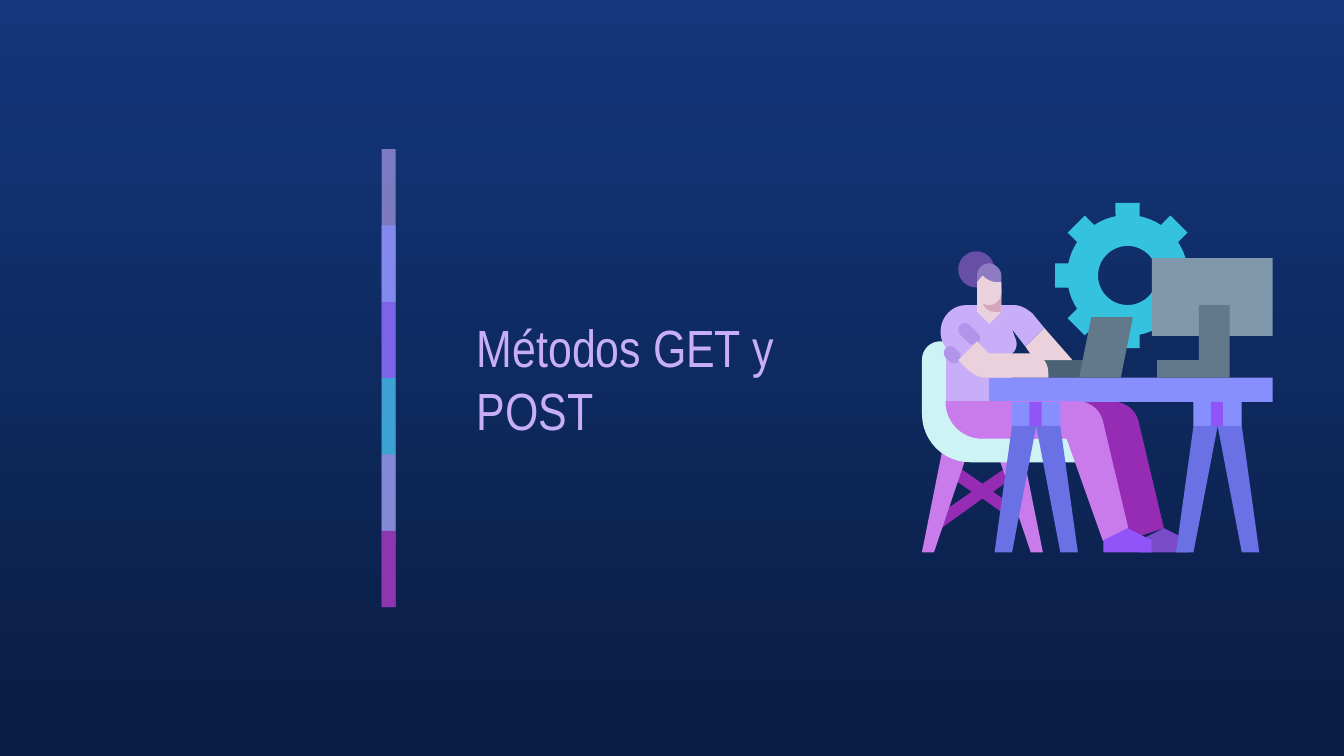
import math
from dataclasses import dataclass

import pptx
import pptx.dml.color
import pptx.enum.shapes
import pptx.enum.text
import pptx.oxml
import pptx.oxml.ns
import pptx.util

Pt = pptx.util.Pt
Kind = pptx.enum.shapes.MSO_SHAPE
UNIT = 0.72


@dataclass(frozen=True)
class Theme:
    """Colours, font and type size of the slide."""
    font: str = "Arial Narrow"
    title_size: int = 28
    sky: str = "13367C"
    night: str = "0A1D42"
    lilac: str = "C8AEF8"
    sleeve: str = "B394EB"
    periwinkle: str = "878FFF"
    violet: str = "9154F8"
    trestle: str = "6971E5"
    cyan: str = "35C2DF"
    pink: str = "CA7BEB"
    magenta: str = "972CB4"
    far_shoe: str = "794BC8"
    chair: str = "CEF3F5"
    skin: str = "EAD1DC"
    neck_shade: str = "D5A6BD"
    bun: str = "674EA7"
    hair: str = "8E7CC3"
    keyboard: str = "4B6275"
    steel: str = "62798C"
    screen: str = "8098AB"


THEME = Theme()


def rgb(colour):
    """Return the colour object of a hex value."""
    return pptx.dml.color.RGBColor.from_string(colour)


def paint(shape, colour):
    """Fill a shape plainly, with no outline or shadow."""
    shape.shadow.inherit = False
    shape.fill.solid()
    shape.fill.fore_color.rgb = rgb(colour)
    shape.line.fill.background()
    return shape


def block(art, x, y, width, height, colour, kind=Kind.RECTANGLE):
    """Add a preset shape measured in drawing units."""
    lengths = [Pt(value * UNIT) for value in (x, y, width, height)]
    return paint(art.shapes.add_shape(kind, *lengths), colour)


def flatten(steps):
    """Turn points and six-number Bezier steps into plain points."""
    points = [steps[0]]
    for step in steps[1:]:
        if len(step) == 2:
            points.append(step)
            continue
        x0, y0 = points[-1]
        x1, y1, x2, y2, x3, y3 = step
        for t in (n / 12 for n in range(1, 13)):
            a, b, c, d = (1 - t) ** 3, 3 * t * (1 - t) ** 2, 3 * t * t * (1 - t), t ** 3
            points.append((a * x0 + b * x1 + c * x2 + d * x3,
                           a * y0 + b * y1 + c * y2 + d * y3))
    return points


def outline(art, colour, *contours):
    """Add one freeform made of closed contours in drawing units."""
    builder = None
    for contour in contours:
        points = [(Pt(x * UNIT), Pt(y * UNIT)) for x, y in flatten(contour)]
        if builder is None:
            builder = art.shapes.build_freeform(*points[0])
        else:
            builder.move_to(*points[0])
        builder.add_line_segments(points[1:], close=True)
    return paint(builder.convert_to_shape(), colour)


def gear(art, x, y):
    """Add an eight-toothed gear with a round hole."""
    def polar(radius, degrees):
        """Place a point around the gear centre."""
        angle = math.radians(degrees)
        return x + radius * math.cos(angle), y + radius * math.sin(angle)

    rim = []
    for tooth in range(0, 360, 45):
        rim += [polar(45, tooth - 11.5), polar(54.75, tooth - 9.5),
                polar(54.75, tooth + 9.5), polar(45, tooth + 11.5)]
        rim += [polar(45, tooth + turn) for turn in (17, 22.5, 28)]
    outline(art, THEME.cyan, rim, [polar(22, -turn) for turn in range(0, 360, 6)])


def trestle(art, x):
    """Add a table trestle centred on x."""
    block(art, x - 18, 299, 36, 18, THEME.periwinkle)
    block(art, x - 5, 299, 9, 18, THEME.violet)
    for side in (-1, 1):
        outline(art, THEME.trestle, [(x + side * 18, 317), (x + side * 31, 411),
                                     (x + side * 18, 411), (x, 317)])


def chair(art):
    """Add the chair with crossed braces, legs and seat."""
    outline(art, THEME.magenta, [
        (711, 346), (706, 354), (723, 366), (694, 386), (699, 394), (731, 371),
        (748, 383), (753, 376), (739, 366), (755, 354), (750, 347), (731, 360)])
    for side in (-1, 1):
        outline(art, THEME.pink, [(731 + side * dx, y) for dx, y in
                                  ((9, 331), (36, 411), (45, 411), (29, 331))])
    outline(art, THEME.chair, [
        (700, 254), (692, 254, 686, 260, 686, 268), (686, 308),
        (686, 328, 702, 344, 722, 344), (807, 344), (807, 322), (731, 322),
        (719, 322, 709, 312, 709, 299), (709, 254)])


def leg(art, shift, heel, colour, shoe_colour):
    """Add a seated leg and its shoe, moved right by shift."""
    trousers = outline(art, colour, [
        (704 + shift, 299),
        (704 + shift, 314, 716 + shift, 326, 731 + shift, 326),
        (794 + shift, 326), (heel, 402), (839 + shift, 393), (820 + shift, 313),
        (818 + shift, 305, 810 + shift, 299, 802 + shift, 299)])
    outline(art, shoe_colour, [(x + shift, y) for x, y in (
        (839, 393), (821, 402), (821, 411), (857, 411), (857, 402))])
    return trousers


def torso(art):
    """Add the far forearm and the shirt."""
    outline(art, THEME.skin, [(763, 258), (770, 268), (798, 268), (777, 244)])
    outline(art, THEME.lilac, [
        (719, 227), (703, 227, 694, 246, 704, 259), (704, 299), (753, 299),
        (753, 263), (756, 261, 757, 257, 756, 253), (753, 245), (763, 258),
        (777, 244), (768, 233), (764, 230, 760, 227, 754, 227)])


def near_arm(art):
    """Add the sleeve folds, neck and near forearm."""
    for x, y, length in ((701.5, 259, 14), (711.5, 243.5, 19)):
        fold = block(art, x, y, length, 10, THEME.sleeve, Kind.ROUNDED_RECTANGLE)
        fold.adjustments[0] = 0.5
        fold.rotation = 45
    outline(art, THEME.skin, [(727, 214), (727, 232), (736, 241), (745, 232), (745, 214)])
    outline(art, THEME.skin, [
        (727, 254), (713, 268), (721, 276), (725, 279, 729, 281, 734, 281),
        (780, 281), (780, 277), (780, 269, 774, 263, 767, 263), (736, 263)])


def head(art):
    """Add the neck shade, hair and blank face."""
    outline(art, THEME.neck_shade, [
        (731, 214), (731, 223), (731, 228, 735, 232, 740, 232), (745, 232), (745, 214)])
    block(art, 713, 187, 27, 27, THEME.bun, Kind.OVAL)
    outline(art, THEME.hair, [
        (736, 196), (731, 196, 727, 200, 727, 205), (727, 214), (745, 214),
        (745, 205), (745, 200, 740, 196, 736, 196)])
    outline(art, THEME.skin, [
        (731, 205), (727, 210), (727, 218), (727, 223, 731, 227, 736, 227),
        (740, 227, 745, 223, 745, 218), (745, 210), (742, 210),
        (738, 210, 734, 208, 731, 205)])


def workplace(page):
    """Draw a person working at a desk in front of a gear."""
    art = page.shapes.add_group_shape()
    gear(art, 839, 205)
    block(art, 776, 268, 31, 13, THEME.keyboard)
    chair(art)
    leg(art, 27, 839, THEME.magenta, THEME.far_shoe)
    torso(art)
    block(art, 736, 281, 211, 18, THEME.periwinkle)
    near_arm(art)
    outline(art, THEME.steel, [(812, 236), (803, 281), (834, 281), (843, 236)])
    trousers = leg(art, 0, 821, THEME.pink, THEME.violet)
    trousers.line.color.rgb = rgb(THEME.pink)
    trousers.line.width = Pt(0.75)
    block(art, 857, 192, 90, 58, THEME.screen)
    outline(art, THEME.steel, [(892, 227), (892, 268), (861, 268),
                               (861, 281), (915, 281), (915, 227)])
    trestle(art, 906)
    trestle(art, 771)
    head(art)


def colour_bar(page):
    """Stack overlapping translucent bands into a vertical rule."""
    bands = ((THEME.lilac, 59), (THEME.periwinkle, 74), (THEME.violet, 53),
             (THEME.cyan, 76), (THEME.pink, 56), (THEME.magenta, 74))
    bar = page.shapes.add_group_shape()
    for index, (colour, opacity) in enumerate(bands):
        height = 40.9 if index == len(bands) - 1 else 81.8
        band = paint(bar.shapes.add_shape(
            Kind.RECTANGLE, Pt(204.5), Pt(79.9 + 40.9 * index), Pt(7.5), Pt(height)), colour)
        tint = band.fill._xPr.find(".//" + pptx.oxml.ns.qn("a:srgbClr"))
        alpha = pptx.oxml.parse_xml(
            f'<a:alpha {pptx.oxml.ns.nsdecls("a")} val="{opacity * 1000}"/>')
        tint.append(alpha)


def title(page, text):
    """Add the slide title."""
    box = page.shapes.add_textbox(Pt(248.4), Pt(178.6), Pt(223.9), Pt(48.2))
    frame = box.text_frame
    frame.word_wrap = True
    frame.vertical_anchor = pptx.enum.text.MSO_ANCHOR.MIDDLE
    frame.margin_left = frame.margin_right = Pt(7.2)
    frame.margin_top = frame.margin_bottom = Pt(7.2)
    para = frame.paragraphs[0]
    para.text = text
    para.font.name = THEME.font
    para.font.size = Pt(THEME.title_size)
    para.font.color.rgb = rgb(THEME.lilac)


def main():
    """Build and save the deck."""
    deck = pptx.Presentation()
    deck.slide_width, deck.slide_height = Pt(720), Pt(405)
    page = deck.slides.add_slide(deck.slide_layouts[6])
    fill = page.background.fill
    fill.gradient()
    fill.gradient_angle = 270
    for stop, colour in zip(fill.gradient_stops, (THEME.sky, THEME.night)):
        stop.color.rgb = rgb(colour)
    colour_bar(page)
    title(page, "Métodos GET y POST")
    workplace(page)
    deck.save("out.pptx")


if __name__ == "__main__":
    main()
